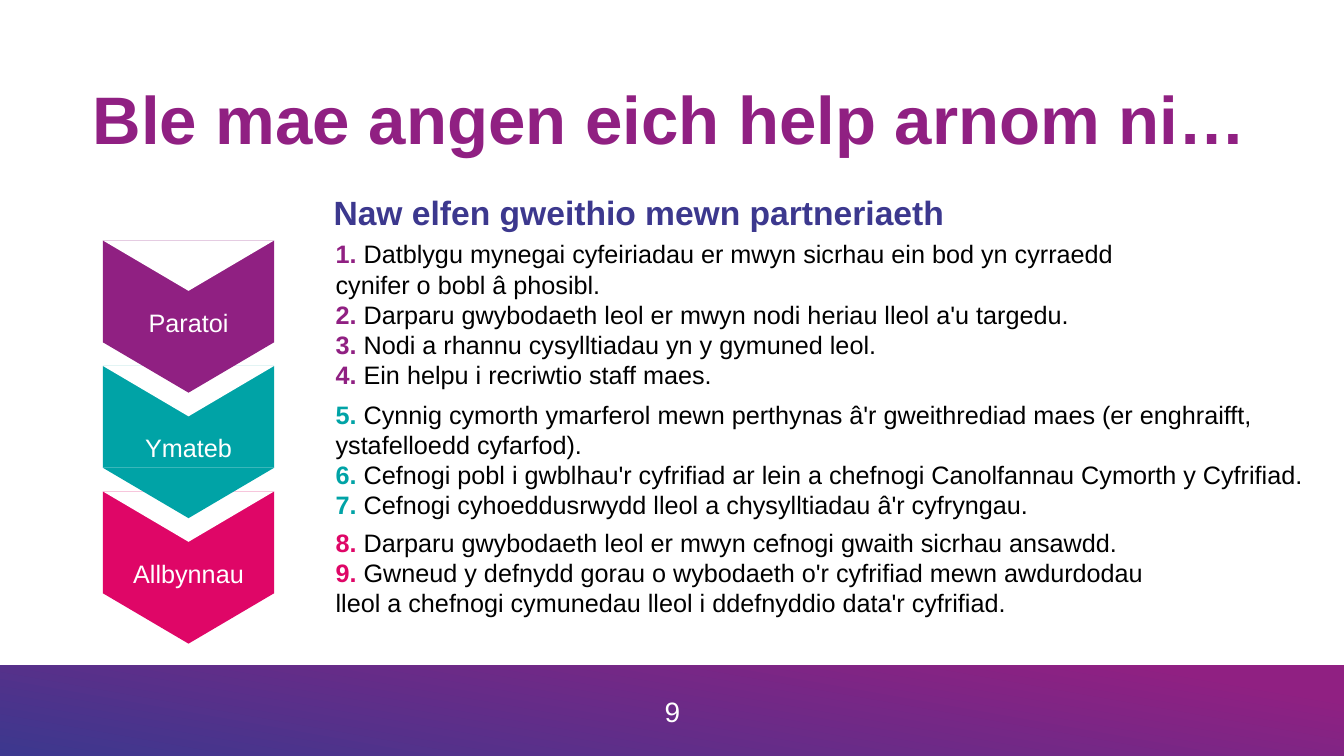
import pptx
import pptx.dml.color
import pptx.enum.shapes
import pptx.enum.text
import pptx.util

HUES = {"plum": "902082", "teal": "00A3A6", "pink": "DF0667",
        "navy": "3C388E", "white": "FFFFFF", "black": "000000"}
KIND = pptx.enum.shapes.MSO_SHAPE
ALIGN = pptx.enum.text.PP_ALIGN
ANCHOR = pptx.enum.text.MSO_ANCHOR


def tint(hue):
    return pptx.dml.color.RGBColor.from_string(HUES[hue])


class Deck:
    def __init__(self):
        self.deck = pptx.Presentation()
        self.deck.slide_width = pptx.util.Inches(13.33)
        self.deck.slide_height = pptx.util.Inches(7.5)
        self.slide = self.deck.slides.add_slide(self.deck.slide_layouts[6])
        self.font = "Arial"

    def place(self, box):
        wide, high = self.deck.slide_width, self.deck.slide_height
        return [int(part * side / 100)
                for part, side in zip(box, (wide, high, wide, high))]

    def label(self, frame, lines, size, align=ALIGN.LEFT, **look):
        for name, value in {"word_wrap": True, **look}.items():
            setattr(frame, name, value)
        for row, runs in enumerate(lines):
            para = frame.add_paragraph() if row else frame.paragraphs[0]
            para.alignment = align
            for words, hue, bold in runs:
                run = para.add_run()
                run.text = words
                style = {"name": self.font, "size": pptx.util.Pt(size), "bold": bold}
                for name, value in style.items():
                    setattr(run.font, name, value)
                run.font.color.rgb = tint(hue)

    def text(self, box, lines, size, **look):
        frame = self.slide.shapes.add_textbox(*self.place(box)).text_frame
        self.label(frame, lines, size, **look)
        return frame

    def shape(self, kind, box, hue, turn=0):
        item = self.slide.shapes.add_shape(kind, *self.place(box))
        item.shadow.inherit = False
        item.line.fill.background()
        item.fill.solid()
        item.fill.fore_color.rgb = tint(hue)
        item.rotation = turn
        return item

    def band(self, box, stops, angle):
        fill = self.shape(KIND.RECTANGLE, box, stops[0][1]).fill
        fill.gradient()
        fill.gradient_angle = angle
        for stop, (place, hue) in zip(fill.gradient_stops, stops):
            stop.position = place
            stop.color.rgb = tint(hue)


STEPS = [
    ("Paratoi", "plum", (30.93, 63.9, 21.6), [
        "Datblygu mynegai cyfeiriadau er mwyn sicrhau ein bod yn cyrraedd cynifer o bobl â phosibl.",
        "Darparu gwybodaeth leol er mwyn nodi heriau lleol a'u targedu.",
        "Nodi a rhannu cysylltiadau yn y gymuned leol.",
        "Ein helpu i recriwtio staff maes."]),
    ("Ymateb", "teal", (52.13, 73.97, 17.47), [
        "Cynnig cymorth ymarferol mewn perthynas â'r gweithrediad maes (er enghraifft, ystafelloedd cyfarfod).",
        "Cefnogi pobl i gwblhau'r cyfrifiad ar lein a chefnogi Canolfannau Cymorth y Cyfrifiad.",
        "Cefnogi cyhoeddusrwydd lleol a chysylltiadau â'r cyfryngau."]),
    ("Allbynnau", "pink", (69.07, 62.34, 13.47), [
        "Darparu gwybodaeth leol er mwyn cefnogi gwaith sicrhau ansawdd.",
        "Gwneud y defnydd gorau o wybodaeth o'r cyfrifiad mewn awdurdodau lleol a chefnogi cymunedau lleol i ddefnyddio data'r cyfrifiad."]),
]
LEFT, WIDE, TOP, PITCH, BODY, TIP = 7.65, 12.75, 31.8, 16.6, 13.47, 6.67

deck = Deck()
deck.band((0, 88, 100, 12), [(0, "navy"), (0.9, "plum")], 80)
title = deck.text((6.9, 10.8, 88.75, 30.4),
                  [[("Ble mae angen eich help arnom ni…", "plum", True)]],
                  48, margin_left=0)
title.paragraphs[0].line_spacing = 0.9
deck.text((38.26, 91.2, 23.56, 5.33), [[("9", "white", False)]], 20, align=ALIGN.CENTER)
deck.text((24.08, 24.67, 53.11, 12.13),
          [[("Naw elfen gweithio mewn partneriaeth", "navy", True)]], 24)

count = 0
for step, (name, hue, (top, wide, high), items) in enumerate(STEPS):
    lines = [[(f"{count + n}. ", hue, True), (item, "black", False)]
             for n, item in enumerate(items, 1)]
    count += len(items)
    deck.text((24.23, top, wide, high), lines, 18)
    body = deck.shape(KIND.RECTANGLE, (LEFT, TOP + step * PITCH, WIDE, BODY), hue)
    deck.label(body.text_frame, [[(name, "white", False)]], 18,
               align=ALIGN.CENTER, vertical_anchor=ANCHOR.BOTTOM)

for step in range(len(STEPS)):
    deck.shape(KIND.ISOSCELES_TRIANGLE, (LEFT, TOP + step * PITCH, WIDE, TIP), "white", 180)
for step, (name, hue, area, items) in enumerate(STEPS):
    deck.shape(KIND.ISOSCELES_TRIANGLE,
               (LEFT, TOP + step * PITCH + BODY, WIDE, TIP), hue, 180)

deck.deck.save("out.pptx")
